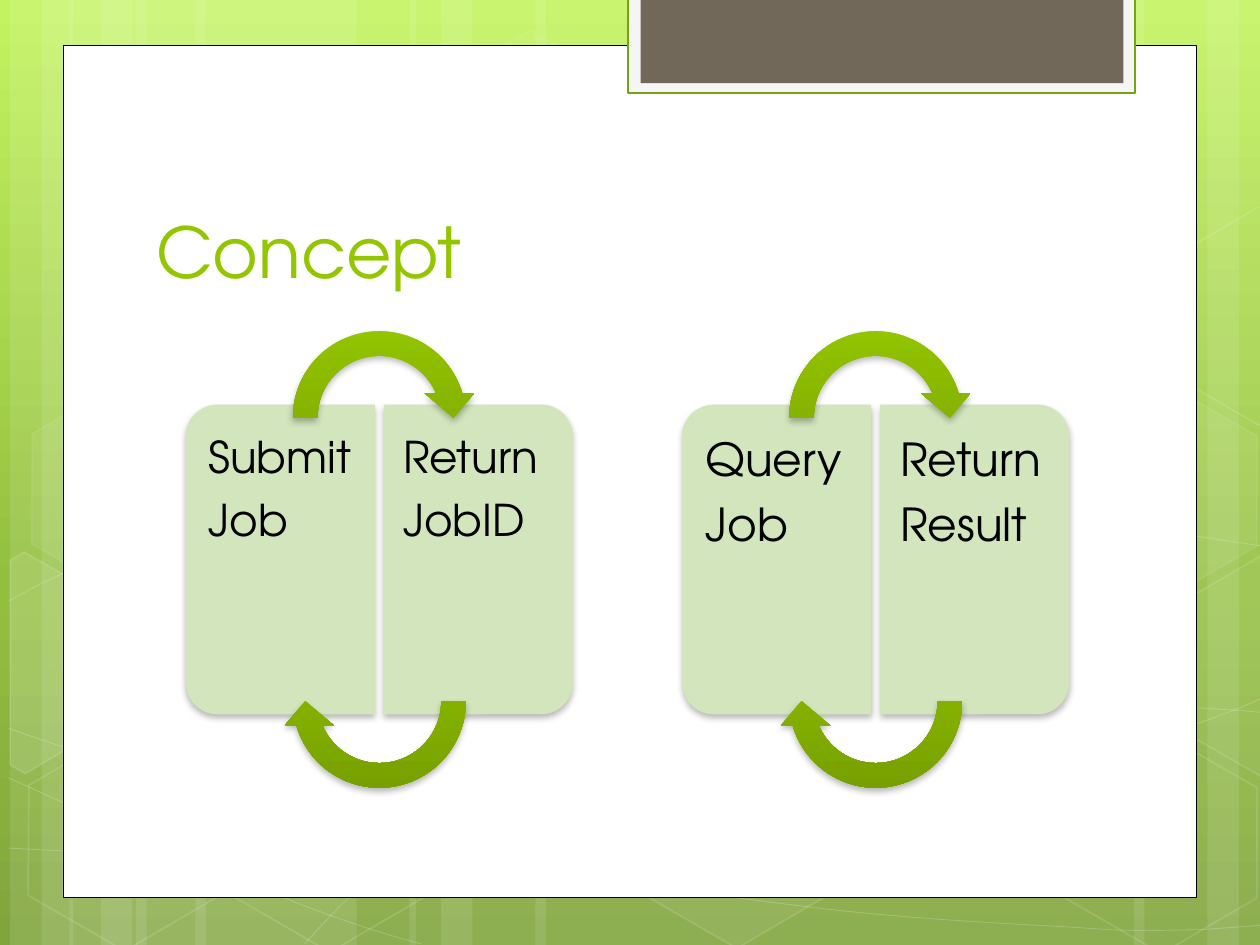
from copy import deepcopy

from lxml.etree import SubElement
from pptx import Presentation
from pptx.dml.color import RGBColor
from pptx.enum.shapes import MSO_SHAPE
from pptx.enum.text import MSO_ANCHOR, PP_ALIGN
from pptx.oxml.ns import qn
from pptx.util import Pt


class Theme:
    font = "TeX Gyre Adventor"
    title_size = 40
    white = RGBColor.from_string("FFFFFF")
    black = RGBColor.from_string("000000")
    green = RGBColor.from_string("94C600")
    dark_green = RGBColor.from_string("769D00")
    card = RGBColor.from_string("D2E5BD")
    tab_frame = RGBColor.from_string("F5F5F5")
    tab_line = RGBColor.from_string("74A510")
    tab = RGBColor.from_string("71685A")
    backdrop = [(0, "C3F35F"), (62, "93BF3F"), (100, "81A53E")]


def paint(shape, fill=None, fill_alpha=100, line=None, width=1, line_alpha=100):
    shape.shadow.inherit = False
    properties = shape.element.spPr
    for target, color, alpha, steps in (
        (shape.fill, fill, fill_alpha, "a:solidFill"),
        (shape.line.fill, line, line_alpha, "a:ln/a:solidFill"),
    ):
        if color is None:
            target.background()
            continue
        target.solid()
        target.fore_color.rgb = color
        if alpha < 100:
            solid = properties.find("/".join(qn(step) for step in steps.split("/")))
            SubElement(solid[0], qn("a:alpha"), val=str(alpha * 1000))
    if line is not None:
        shape.line.width = Pt(width)


def add_soft_shadow(shape):
    effects = shape.element.spPr.find(qn("a:effectLst"))
    shadow = SubElement(effects, qn("a:outerShdw"), blurRad=str(Pt(4)), dist=str(Pt(2)),
                        dir="5400000", rotWithShape="0")
    color = SubElement(shadow, qn("a:srgbClr"), val=str(Theme.black))
    SubElement(color, qn("a:alpha"), val="28000")


presentation = Presentation()
presentation.slide_width, presentation.slide_height = Pt(720), Pt(540)
slide = presentation.slides.add_slide(presentation.slide_layouts[5])
shapes = slide.shapes

background = slide.background.fill
background.gradient()
background.gradient_angle = 270
stop_list = slide.background._cSld.find(".//" + qn("a:gsLst"))
stop_list.append(deepcopy(stop_list[-1]))
for stop, (position, color) in zip(background.gradient_stops, Theme.backdrop):
    stop.position = position / 100
    stop.color.rgb = RGBColor.from_string(color)

stripes = [(77.8, 126), (5.8, 36), (23.8, 60), (111.6, 126), (39.6, 36), (57.6, 60),
           (528, 126), (690, 36), (648, 60), (306, 222), (234, 36), (252, 60)]
for left, width in stripes:
    stripe = shapes.add_shape(MSO_SHAPE.RECTANGLE, Pt(left), 0, Pt(width), Pt(540))
    paint(stripe, Theme.white, 10)

curves = [
    [(5, 484.6), (43.9, 486.7), (82.8, 488.9), (136.8, 488.2), (190.8, 487.4),
     (257.8, 486), (329.8, 478.8), (401.8, 471.6), (504, 457.9), (570.2, 444.2),
     (635.8, 430.6), (703.4, 409), (725, 396.7)],
    [(5, 343.4), (25.9, 331.9), (46.8, 321.1), (87.1, 310.3), (128.2, 299.5),
     (186.5, 283.7), (249.8, 278.6), (313.9, 273.6), (391.7, 272.9), (470.9, 278.6),
     (550.1, 284.4), (681.8, 306.7), (725, 312.5)],
    [(4.3, 444.2), (91.4, 483.8), (177.8, 523.4), (240.5, 539.3)],
    [(5, 416.2), (27.4, 424.1), (50.4, 432), (92.2, 443.5), (133.9, 454.3),
     (196.6, 472.3), (257, 484.6), (316.8, 496.8), (392.4, 509.8), (452.2, 517),
     (511.9, 524.9), (576, 527.8), (614.2, 529.9), (651.6, 532.8), (661.7, 531.4),
     (680.4, 531.4), (699.1, 530.6), (712.1, 529.2), (725, 528.5)],
    [(174.2, 539.3), (187.2, 524.9), (200.2, 510.5), (217.4, 497.5), (234.7, 484.6),
     (259.2, 470.2), (279.4, 460.1), (299.5, 450), (311.8, 445.7), (338.4, 438.5),
     (364.3, 431.3), (412.6, 421.2), (437.8, 416.2), (463.7, 411.1), (467.3, 411.1),
     (489.6, 409.7), (511.9, 407.5), (547.2, 405.4), (571.7, 404.6), (596.9, 403.9),
     (637.9, 404.6), (637.9, 404.6), (637.9, 404.6), (686.2, 404.6), (686.2, 404.6),
     (699.1, 405.4), (711.4, 406.1), (717.8, 406.8), (724.3, 407.5), (722.2, 406.8),
     (724.3, 407.5)],
]
for controls in curves:
    start, *others = [(Pt(x), Pt(y)) for x, y in controls]
    builder = shapes.build_freeform(*start)
    builder.add_line_segments(others, close=False)
    curve = builder.convert_to_shape()
    outline = curve.element.spPr.find(".//" + qn("a:path"))
    segments = list(outline)[1:]
    for index in range(0, len(segments), 3):
        bend = SubElement(outline, qn("a:cubicBezTo"))
        for segment in segments[index:index + 3]:
            bend.append(segment[0])
            outline.remove(segment)
    paint(curve, line=Theme.white, width=0.5, line_alpha=20)

hexagons = [(240.5, 26, 4, 8), (357.8, 424, 6, 12), (8, 425.5, 0, 12), (10, 224.6, 7, 8),
            (125.3, 426.2, 0, 12), (600.5, 427, 0, 12), (600.5, 226, 7, 8)]
for left, top, fill_alpha, line_alpha in hexagons:
    hexagon = shapes.add_shape(MSO_SHAPE.HEXAGON, Pt(left), Pt(top), Pt(126), Pt(109.4))
    hexagon.rotation = 30
    hexagon.adjustments[0] = 0.285
    paint(hexagon, Theme.white if fill_alpha else None, fill_alpha, Theme.white, 1, line_alpha)

cut_hexagons = [
    (10, [(5.8, 320.4), (13.7, 315.4), (69.1, 347), (68.4, 410.4), (14.4, 442.1), (5.8, 437)]),
    (4, [(666.7, 349.2), (720.7, 317.5), (726.5, 321.1), (726.5, 441.4), (721.4, 444.2),
         (666.7, 412.6)]),
    (0, [(666.7, 149), (720.7, 117.4), (727.2, 121), (726.5, 241.2), (721.4, 244.1),
         (666.7, 212.4)]),
]
for fill_alpha, corners in cut_hexagons:
    start, *others = [(Pt(x), Pt(y)) for x, y in corners]
    builder = shapes.build_freeform(*start)
    builder.add_line_segments(others, close=True)
    paint(builder.convert_to_shape(), Theme.white if fill_alpha else None, fill_alpha,
          Theme.white, 1, 12)

frames = [
    (36, 26, 648, 487, Theme.white, Theme.black, 0.5),
    (359, -1.5, 289.7, 54.7, Theme.tab_frame, Theme.tab_line, 1.25),
    (366, -1.5, 276, 49, Theme.tab, None, 0),
]
for left, top, width, height, fill, line, line_width in frames:
    frame = shapes.add_shape(MSO_SHAPE.RECTANGLE, Pt(left), Pt(top), Pt(width), Pt(height))
    paint(frame, fill, line=line, width=line_width)

title = shapes.title
shapes._spTree.append(title.element)
title.left, title.top, title.width, title.height = Pt(82), Pt(80.6), Pt(553), Pt(90)
title.text_frame.text = "Concept"
title.text_frame.vertical_anchor = MSO_ANCHOR.BOTTOM
paragraph = title.text_frame.paragraphs[0]
paragraph.alignment = PP_ALIGN.LEFT
paragraph.font.name, paragraph.font.size = Theme.font, Pt(Theme.title_size)
paragraph.font.color.rgb = Theme.green

cycles = [
    (0, 25, 7.5, 12.2, [("Submit", "Job"), ("Return", "JobID")]),
    (283.6, 26, 8, 12.8, [("Query", "Job"), ("Return", "Result")]),
]
for offset, size, outer, inset, cards in cycles:
    sides = [(71.7, 111.6, 270, outer, 11.5), (184.8, 218.9, 90, outer + 4, outer)]
    for lines, (left, text_left, rotation, inset_left, inset_right) in zip(cards, sides):
        card = shapes.add_shape(MSO_SHAPE.ROUND_2_SAME_RECTANGLE, Pt(left + offset),
                                Pt(265.7), Pt(177), Pt(108))
        card.rotation = rotation
        card.adjustments[0] = 0.167
        paint(card, Theme.card)
        add_soft_shadow(card)
        label = shapes.add_textbox(Pt(text_left + offset), Pt(237), Pt(103), Pt(166.3))
        frame = label.text_frame
        frame.word_wrap = True
        frame.margin_left, frame.margin_right = Pt(inset_left), Pt(inset_right)
        frame.margin_top = frame.margin_bottom = Pt(inset)
        frame.text = "\n".join(lines)
        for paragraph in frame.paragraphs:
            paragraph.line_spacing = 0.9
            paragraph.space_after = Pt(0.35 * size)
            paragraph.font.name, paragraph.font.size = Theme.font, Pt(size)
            paragraph.font.color.rgb = Theme.black
    for top, rotation in ((182.2, 0), (344.2, 180)):
        arrow = shapes.add_shape(MSO_SHAPE.CIRCULAR_ARROW, Pt(160.3 + offset), Pt(top),
                                 Pt(113), Pt(113))
        arrow.rotation = rotation
        for index, value in enumerate((0.125, 11.423, 204.577, 108, 0.125)):
            arrow.adjustments[index] = value
        paint(arrow)
        arrow.fill.gradient()
        arrow.fill.gradient_angle = 270
        arrow.element.spPr.find(qn("a:gradFill")).set("rotWithShape", "0")
        for stop, color in zip(arrow.fill.gradient_stops, (Theme.green, Theme.dark_green)):
            stop.color.rgb = color
        add_soft_shadow(arrow)

presentation.save("out.pptx")
